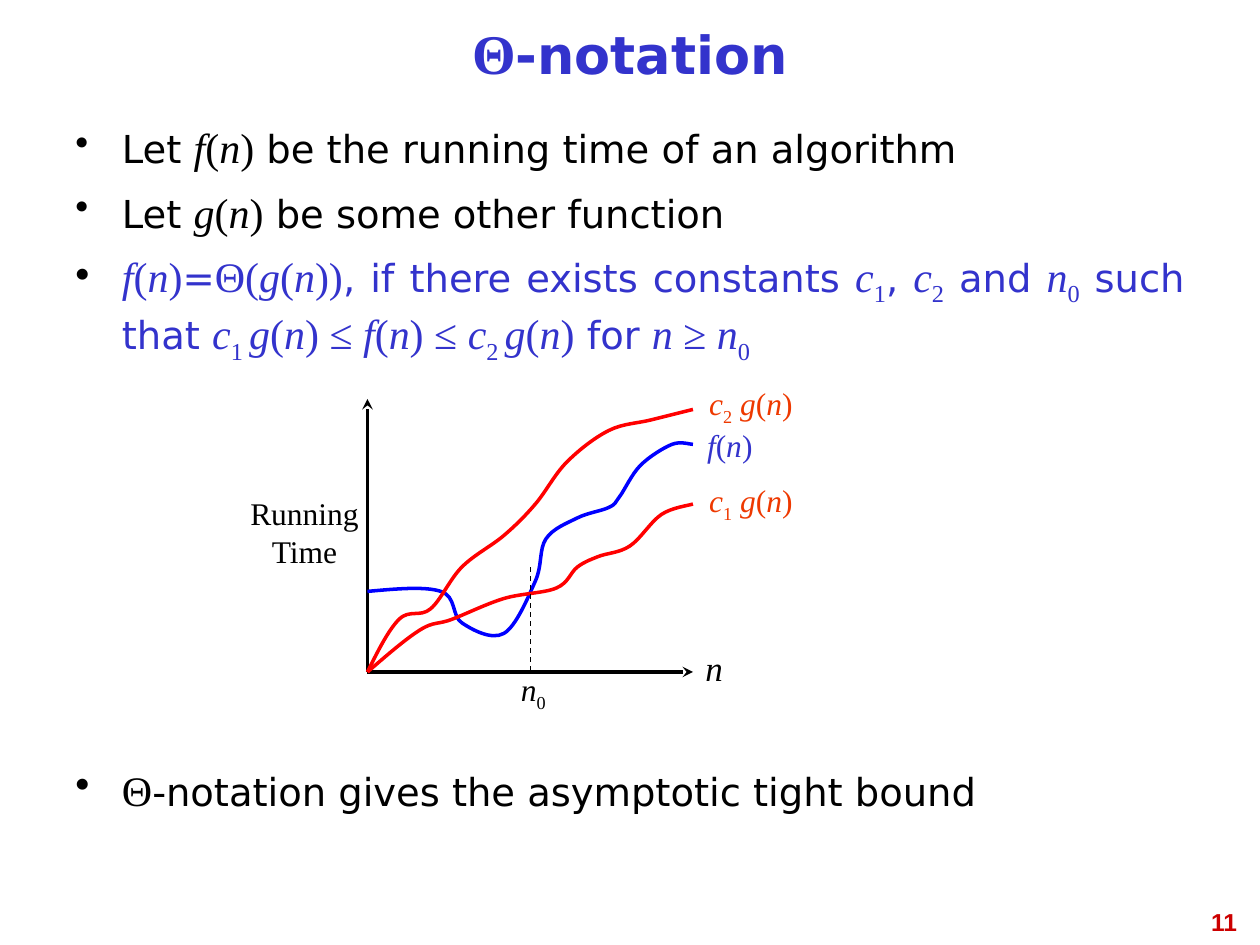
from dataclasses import dataclass
from typing import NamedTuple

from lxml import etree
from pptx import Presentation
from pptx.dml.color import RGBColor
from pptx.enum.dml import MSO_LINE
from pptx.enum.shapes import MSO_CONNECTOR
from pptx.enum.text import MSO_ANCHOR, PP_ALIGN
from pptx.oxml.ns import qn
from pptx.util import Inches, Pt

BLACK = RGBColor(0x00, 0x00, 0x00)
INDIGO = RGBColor(0x33, 0x33, 0xCC)
BLUE = RGBColor(0x00, 0x00, 0xFF)
RED = RGBColor(0xFF, 0x00, 0x00)
ORANGE = RGBColor(0xEE, 0x39, 0x00)
CRIMSON = RGBColor(0xCC, 0x00, 0x00)

LEFT, RIGHT = PP_ALIGN.LEFT, PP_ALIGN.RIGHT
CENTER, JUSTIFY = PP_ALIGN.CENTER, PP_ALIGN.JUSTIFY
TOP, MIDDLE = MSO_ANCHOR.TOP, MSO_ANCHOR.MIDDLE
STRAIGHT, DASH = MSO_CONNECTOR.STRAIGHT, MSO_LINE.DASH

SERIF, SANS, ARIAL = "Times New Roman", "DejaVu Sans", "Arial"
COLS, ROWS = 120, 90
CELL = Inches(10) // COLS
ZERO = (35, 64)
INDENT = Inches(0.37)


class Box(NamedTuple):
    col: float
    row: float
    wide: float
    high: float


class Bit(NamedTuple):
    text: str
    font: str = SERIF
    tilt: bool = False
    sub: bool = False


@dataclass
class Para:
    bits: list[Bit]
    color: RGBColor = BLACK
    gap: float = 8


@dataclass
class Label:
    box: Box
    bits: list[Bit]
    color: RGBColor = BLACK
    size: int = 18


@dataclass
class Curve:
    color: RGBColor
    knots: list[tuple[int, int]]
    lift: float = 0


def word(text: str) -> Bit:
    return Bit(text, SANS)


def var(name: str, index: str = "") -> list[Bit]:
    base = [Bit(name, tilt=True)]
    return base + [Bit(index, sub=True)] if index else base


def call(name: str, tail: str = "") -> list[Bit]:
    return [*var(name), Bit("("), *var("n"), Bit(")" + tail)]


def write(slide, box: Box, paras: list[Para], *, size: int = 18, align=LEFT,
          anchor=TOP, bold: bool = False, bullet: bool = False,
          spacing: float = 1.0) -> None:
    frame = slide.shapes.add_textbox(*(round(n * CELL) for n in box)).text_frame
    frame.word_wrap = True
    frame.vertical_anchor = anchor
    for i, item in enumerate(paras):
        para = frame.add_paragraph() if i else frame.paragraphs[0]
        para.alignment = align
        para.line_spacing = spacing
        if bullet:
            para.space_before = Pt(item.gap)
            props = para._p.get_or_add_pPr()
            props.set("marL", str(INDENT))
            props.set("indent", str(-INDENT))
            tint = etree.SubElement(props, qn("a:buClr"))
            etree.SubElement(tint, qn("a:srgbClr")).set("val", str(BLACK))
            etree.SubElement(props, qn("a:buChar")).set("char", "•")
        for bit in item.bits:
            run = para.add_run()
            run.text = bit.text
            font = run.font
            font.name = bit.font
            font.size = Pt(size - 2 if bit.font == SANS else size)
            font.bold, font.italic = bold, bit.tilt
            font.color.rgb = item.color
            if bit.sub:
                font._element.set("baseline", "-25000")


def spot(x: float, y: float) -> tuple[int, int]:
    return round((ZERO[0] + x) * CELL), round((ZERO[1] - y) * CELL)


def rule(slide, start: tuple, end: tuple, width: float = 2,
         arrow: bool = False) -> None:
    line = slide.shapes.add_connector(STRAIGHT, *spot(*start), *spot(*end))
    line.line.color.rgb = BLACK
    line.line.width = Pt(width)
    if arrow:
        tip = etree.SubElement(line.line._get_or_add_ln(), qn("a:tailEnd"))
        tip.set("type", "stealth")
    else:
        line.line.dash_style = DASH
    etree.SubElement(line._element.spPr, qn("a:effectLst"))


def bend(knots: list[tuple]) -> list[tuple]:
    last = len(knots) - 1
    slope = [tuple((b - a) / 6 for a, b in zip(knots[max(i - 1, 0)],
                                               knots[min(i + 1, last)]))
             for i in range(last + 1)]
    out = []
    for i in range(last):
        near = tuple(p + s for p, s in zip(knots[i], slope[i]))
        far = tuple(p - s for p, s in zip(knots[i + 1], slope[i + 1]))
        if i == 0:
            near = tuple((p + q) / 2 for p, q in zip(knots[0], far))
        out += [near, far, knots[i + 1]]
    return out


def trace(slide, curve: Curve) -> None:
    knots = [(x, y + curve.lift) for x, y in curve.knots]
    pen = slide.shapes.build_freeform(*spot(*knots[0]))
    pen.add_line_segments([spot(*p) for p in bend(knots)], close=False)
    shape = pen.convert_to_shape()
    shape.shadow.inherit = False
    shape.fill.background()
    shape.line.color.rgb = curve.color
    shape.line.width = Pt(2)
    steps = list(shape._element.iter(qn("a:lnTo")))
    for i in range(0, len(steps), 3):
        arc = etree.SubElement(steps[i].getparent(), qn("a:cubicBezTo"))
        for step in steps[i:i + 3]:
            arc.append(step[0])
            step.getparent().remove(step)


BODY = [
    Para([word("Let "), *call("f"),
          word(" be the running time of an algorithm")]),
    Para([word("Let "), *call("g"), word(" be some other function")]),
    Para([*call("f"), word("="), Bit("Θ("), *call("g", ")"),
          word(", if there exists constants "), *var("c", "1"), word(", "),
          *var("c", "2"), word(" and "), *var("n", "0"), word(" such that "),
          *var("c", "1 "), *call("g", " ≤ "), *call("f", " ≤ "),
          *var("c", "2 "), *call("g"), word(" for "), *var("n "), Bit("≥ "),
          *var("n", "0")], INDIGO),
    Para([Bit("Θ"), word("-notation gives the asymptotic tight bound")],
         gap=228),
]

CURVES = [
    Curve(BLUE, [(0, 7), (7, 7), (9, 4), (13, 3), (16, 8), (17, 12), (20, 14),
                 (23, 15), (24, 16), (26, 19), (29, 21), (31, 21)], 0.67),
    Curve(RED, [(0, 0), (3, 5), (6, 6), (9, 10), (13, 13), (16, 16), (19, 20),
                (23, 23), (27, 24), (31, 25)]),
    Curve(RED, [(0, 0), (5, 4), (8, 5), (13, 7), (18, 8), (20, 10), (22, 11),
                (25, 12), (28, 15), (31, 16)]),
]

LABELS = [
    Label(Box(61, 36, 21, 5.25), [*var("c", "2"), *call(" g")], ORANGE),
    Label(Box(59, 40, 21, 4.75), call("f"), INDIGO),
    Label(Box(61, 45.25, 21, 5.25), [*var("c", "1"), *call(" g")], ORANGE),
    Label(Box(40.3, 63.25, 21, 5.25), var("n", "0")),
    Label(Box(61, 61, 14, 5.25), var("n"), size=20),
    Label(Box(22, 46.5, 14, 8.4), [Bit("Running Time")]),
]


def main() -> None:
    deck = Presentation()
    deck.slide_width, deck.slide_height = COLS * CELL, ROWS * CELL
    slide = deck.slides.add_slide(deck.slide_layouts[6])
    write(slide, Box(91, 85.8, 28, 4.2), [Para([Bit("11", ARIAL)], CRIMSON)],
          size=14, align=RIGHT, bold=True)
    write(slide, Box(6, 1, 108, 9), [Para([Bit("Θ"), word("-notation")], INDIGO)],
          size=32, align=CENTER, anchor=MIDDLE, bold=True, spacing=0.81)
    write(slide, Box(6, 11, 108, 70), BODY, size=24, align=JUSTIFY, bullet=True)
    rule(slide, (0, 0), (0, 26), arrow=True)
    rule(slide, (0, 0), (31, 0), arrow=True)
    for curve in CURVES:
        trace(slide, curve)
    rule(slide, (15.5, 10), (15.5, 0), width=0.75)
    for label in LABELS:
        write(slide, label.box, [Para(label.bits, label.color)],
              size=label.size, align=CENTER)
    deck.save("out.pptx")


if __name__ == "__main__":
    main()
